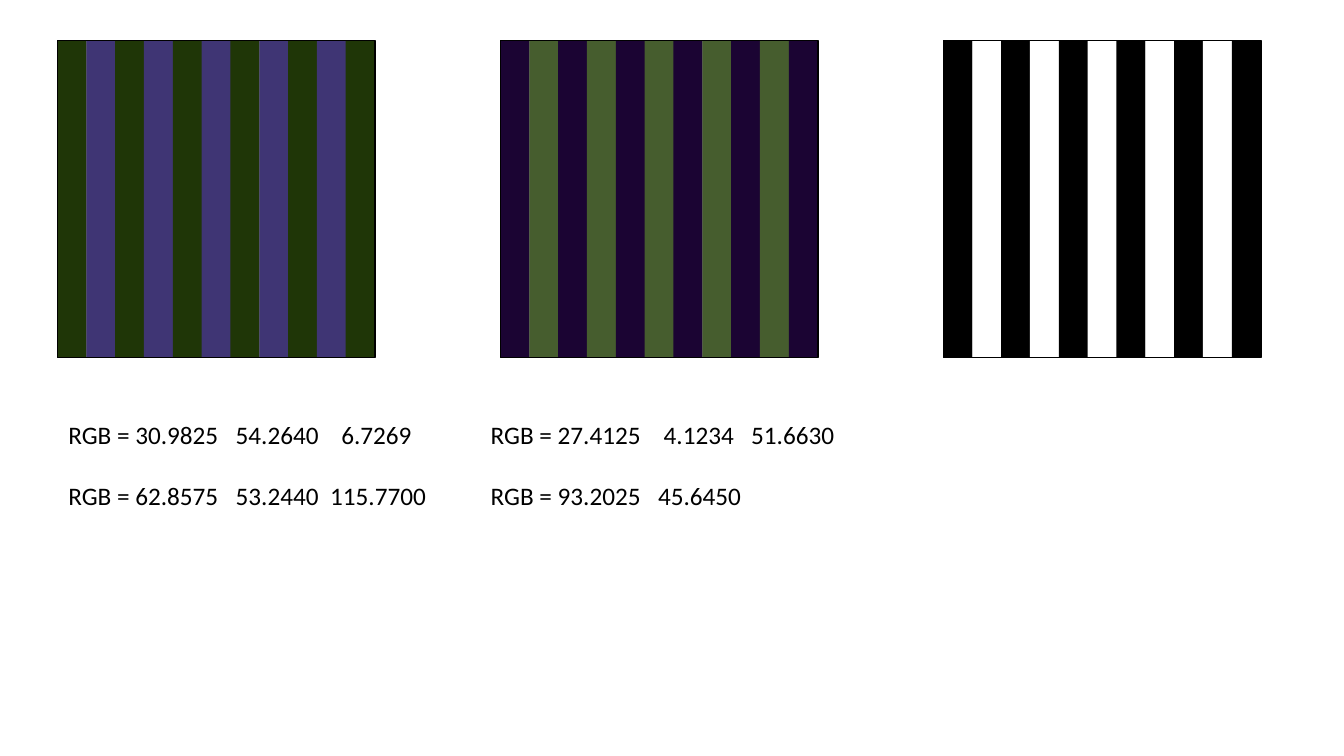
from dataclasses import dataclass
from typing import Any, Optional

from lxml import etree
from pptx import Presentation
from pptx.dml.color import RGBColor
from pptx.enum import shapes, text
from pptx.oxml import ns
from pptx.util import Pt

BLACK = RGBColor(0x00, 0x00, 0x00)
WHITE = RGBColor(0xFF, 0xFF, 0xFF)
DARK_GREEN = RGBColor(0x1F, 0x36, 0x07)
VIOLET = RGBColor(0x3F, 0x35, 0x74)
DARK_PURPLE = RGBColor(0x1B, 0x04, 0x33)
OLIVE = RGBColor(0x46, 0x5D, 0x2E)

GRATING_LEFT, GRATING_TOP, GRATING_STEP = 41.04, 28.8, 316.44
GRATING_SIZE, STRIPE_WIDTH, STRIPES = 226.8, 20.88, 11
STRIPE_STEP = (GRATING_SIZE - STRIPE_WIDTH) / (STRIPES - 1)
LABEL_TOP, LABEL_WIDTH, LABEL_HEIGHT = 295.92, 272.88, 72.72

FONT = {"name": "Calibri", "size": Pt(18)}
FRAME = {"word_wrap": True, "auto_size": text.MSO_AUTO_SIZE.SHAPE_TO_FIT_TEXT}


@dataclass(frozen=True)
class Grating:
    """A square of stripes in two alternating colours."""
    column: int
    colors: tuple[RGBColor, RGBColor]


@dataclass(frozen=True)
class ValueLine:
    """One row of RGB values, with a tab stop for each value after the first."""
    values: tuple[str, ...]
    stops: tuple[float, ...]


@dataclass(frozen=True)
class Label:
    """The colour values below a grating."""
    left: float
    lines: tuple[ValueLine, ...]


GRATINGS = (
    Grating(2, (BLACK, WHITE)),
    Grating(1, (DARK_PURPLE, OLIVE)),
    Grating(0, (DARK_GREEN, VIOLET)),
)
LABELS = (
    Label(343.44, (
        ValueLine(("27.4125", "4.1234", "51.6630"), (123.5, 186)),
        ValueLine(("93.2025", "45.6450"), (119.5,)),
    )),
    Label(41.76, (
        ValueLine(("30.9825", "54.2640", "6.7269"), (119.5, 195)),
        ValueLine(("62.8575", "53.2440", "115.7700"), (119.5, 187)),
    )),
)


def apply(target: Any, values: dict[str, Any]) -> None:
    """Set each named attribute on the target."""
    for name, value in values.items():
        setattr(target, name, value)


def add_rect(group: Any, left: float, width: float,
             fill: Optional[RGBColor] = None) -> None:
    """Add a filled stripe, or an outlined frame when no fill is given."""
    sp = group.shapes.add_shape(
        shapes.MSO_SHAPE.RECTANGLE,
        Pt(left), Pt(GRATING_TOP), Pt(width), Pt(GRATING_SIZE))
    sp.shadow.inherit = False
    if fill is None:
        sp.fill.background()
        sp.line.color.rgb = BLACK
        sp.line.width = Pt(1)
    else:
        sp.fill.solid()
        sp.fill.fore_color.rgb = fill
        sp.line.fill.background()


def add_grating(slide: Any, grating: Grating) -> None:
    """Add the grouped stripes and their frame."""
    group = slide.shapes.add_group_shape()
    left = GRATING_LEFT + grating.column * GRATING_STEP
    for i in range(STRIPES):
        add_rect(group, left + i * STRIPE_STEP, STRIPE_WIDTH, grating.colors[i % 2])
    add_rect(group, left, GRATING_SIZE)


def add_tab_stops(p: Any, stops: tuple[float, ...]) -> None:
    """Give a paragraph left tab stops."""
    tabs = etree.SubElement(p._p.get_or_add_pPr(), ns.qn("a:tabLst"))
    for stop in stops:
        etree.SubElement(tabs, ns.qn("a:tab"), pos=str(Pt(stop)), algn="l")


def add_label(slide: Any, label: Label) -> None:
    """Add a text box with one paragraph for each row of values."""
    sp = slide.shapes.add_textbox(
        Pt(label.left), Pt(LABEL_TOP), Pt(LABEL_WIDTH), Pt(LABEL_HEIGHT))
    tf = sp.text_frame
    apply(tf, FRAME)
    for i, line in enumerate(label.lines):
        p = tf.add_paragraph() if i else tf.paragraphs[0]
        p.space_before = Pt(22 if i else 0)
        add_tab_stops(p, line.stops)
        r = p.add_run()
        r.text = "RGB = " + "\t".join(line.values)
        apply(r.font, FONT)
        r.font.color.rgb = BLACK


def main() -> None:
    """Build and save the slide."""
    prs = Presentation()
    apply(prs, {"slide_width": Pt(960), "slide_height": Pt(540)})
    slide = prs.slides.add_slide(prs.slide_layouts[6])
    for grating in GRATINGS:
        add_grating(slide, grating)
    for label in LABELS:
        add_label(slide, label)
    prs.save("out.pptx")


main()
